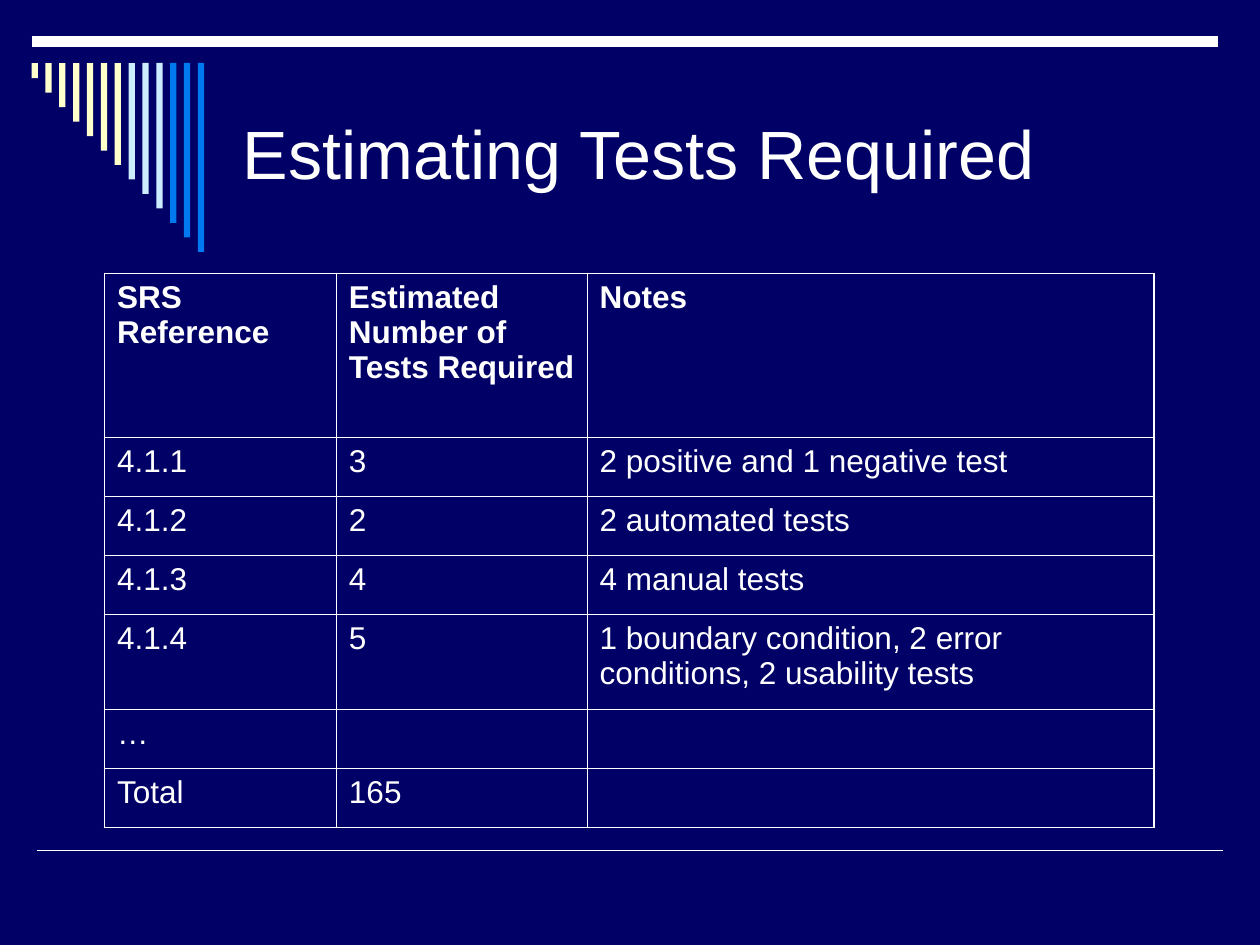
import pptx
import pptx.util
import pptx.dml.color
import pptx.enum.shapes
import pptx.enum.text
import pptx.oxml
import pptx.oxml.ns

Inches, Pt = pptx.util.Inches, pptx.util.Pt
COLORS = {"back": "000066", "white": "FFFFFF", "cream": "FFFFCC",
          "pale": "CCECFF", "blue": "0078F0"}
BARS = ["cream"] * 7 + ["pale"] * 3 + ["blue"] * 3
COLS = [1.84, 1.99, 4.5]
HEIGHTS = [1.3, 0.47, 0.47, 0.47, 0.75, 0.47, 0.47]
ROWS = [
    ("SRS Reference", "Estimated Number of Tests Required", "Notes"),
    ("4.1.1", "3", "2 positive and 1 negative test"),
    ("4.1.2", "2", "2 automated tests"),
    ("4.1.3", "4", "4 manual tests"),
    ("4.1.4", "5", "1 boundary condition, 2 error conditions, 2 usability tests"),
    ("…", "", ""),
    ("Total", "165", ""),
]


def color(name):
    return pptx.dml.color.RGBColor.from_string(COLORS[name])


def style(font, size, bold=False):
    for key, value in {"name": "Arial", "size": Pt(size), "bold": bold}.items():
        setattr(font, key, value)
    font.color.rgb = color("white")


def add_rule(slide, left, top, width, weight):
    """Draw a level white line."""
    rule = slide.shapes.add_connector(
        pptx.enum.shapes.MSO_CONNECTOR.STRAIGHT,
        Inches(left), Inches(top), Inches(left + width), Inches(top))
    rule.line.color.rgb = color("white")
    rule.line.width = Pt(weight)
    rule._element.spPr.append(pptx.oxml.parse_xml(
        f'<a:effectLst {pptx.oxml.ns.nsdecls("a")}/>'))


def add_bars(slide):
    """Hang a row of evenly growing bars from one top edge."""
    group = slide.shapes.add_group_shape()
    first, last = 0.12, 1.5
    step = (last - first) / (len(BARS) - 1)
    for i, name in enumerate(BARS):
        bar = group.shapes.add_shape(
            pptx.enum.shapes.MSO_SHAPE.RECTANGLE, Inches(0.25 + 0.11 * i),
            Inches(0.5), Inches(0.05), Inches(first + step * i))
        bar.shadow.inherit = False
        bar.fill.solid()
        bar.fill.fore_color.rgb = color(name)
        bar.line.fill.background()


def add_title(slide, text):
    box = slide.shapes.add_textbox(
        Inches(1.83), Inches(0.5), Inches(7.67), Inches(1.42))
    frame = box.text_frame
    frame.word_wrap = True
    frame.vertical_anchor = pptx.enum.text.MSO_ANCHOR.MIDDLE
    frame.text = text
    style(frame.paragraphs[0].runs[0].font, 39)


def set_edges(cell, outer):
    """Draw the cell's borders, heavier on the sides named in outer."""
    props = cell._tc.get_or_add_tcPr()
    for i, side in enumerate("LRTB"):
        width = Pt(1.08 if side in outer else 0.45)
        props.insert(i, pptx.oxml.parse_xml(
            f'<a:ln{side} {pptx.oxml.ns.nsdecls("a")} w="{width}"><a:solidFill>'
            f'<a:srgbClr val="{COLORS["white"]}"/></a:solidFill></a:ln{side}>'))


def fill_cell(cell, text, bold):
    cell.fill.background()
    para = cell.text_frame.paragraphs[0]
    para.space_before = Pt(4.5)
    style(para.font, 18, bold)
    if text:
        para.text = text
        style(para.runs[0].font, 18, bold)


def add_grid(slide):
    table = slide.shapes.add_table(
        len(ROWS), len(COLS), Inches(0.83), Inches(2.17),
        Inches(sum(COLS)), Inches(sum(HEIGHTS))).table
    table.horz_banding = False
    for col, width in zip(table.columns, COLS):
        col.width = Inches(width)
    for r, texts in enumerate(ROWS):
        table.rows[r].height = Inches(HEIGHTS[r])
        for c, text in enumerate(texts):
            cell = table.cell(r, c)
            fill_cell(cell, text, r == 0)
            ends = {"L": c == 0, "R": c == len(COLS) - 1,
                    "T": r == 0, "B": r == len(ROWS) - 1}
            set_edges(cell, [side for side, end in ends.items() if end])


def main():
    deck = pptx.Presentation()
    deck.slide_width, deck.slide_height = Inches(10), Inches(7.5)
    slide = deck.slides.add_slide(deck.slide_layouts[6])
    slide.background.fill.solid()
    slide.background.fill.fore_color.rgb = color("back")
    add_rule(slide, 0.29, 6.75, 9.42, 1)
    add_rule(slide, 0.25, 0.33, 9.42, 6)
    add_bars(slide)
    add_title(slide, "Estimating Tests Required")
    add_grid(slide)
    deck.save("out.pptx")


if __name__ == "__main__":
    main()
